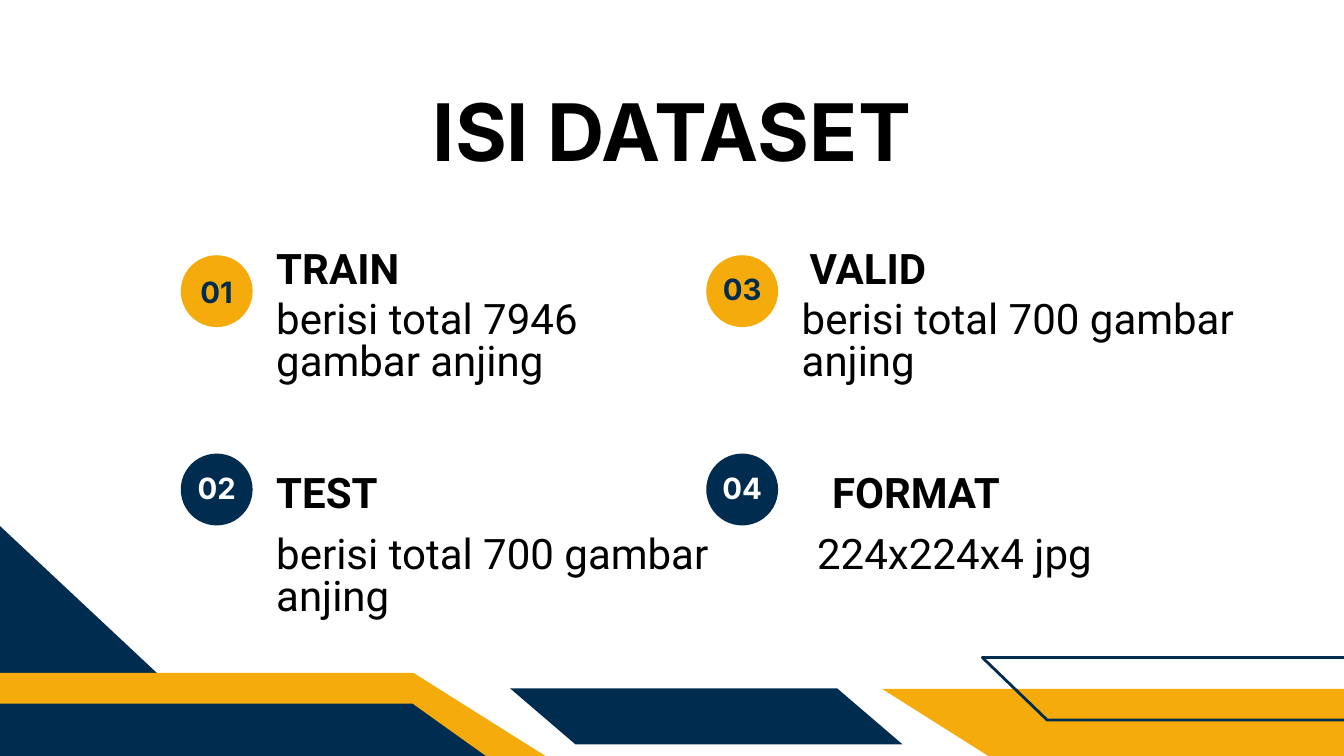
"""Build the "ISI DATASET" slide with four numbered entries."""
from pptx import Presentation
from pptx.dml.color import RGBColor
from pptx.enum.shapes import MSO_SHAPE
from pptx.enum.text import PP_ALIGN
from pptx.util import Pt

NAVY = RGBColor(0x00, 0x2C, 0x4F)
AMBER = RGBColor(0xF5, 0xAB, 0x0B)
WHITE = RGBColor(0xFF, 0xFF, 0xFF)
BLACK = RGBColor(0x00, 0x00, 0x00)

prs = Presentation()
prs.slide_width, prs.slide_height = Pt(1440), Pt(810)
s = prs.slides.add_slide(prs.slide_layouts[6])


def add_polygon(points, fill, line=None):
    pts = [(Pt(x), Pt(y)) for x, y in points]
    fb = s.shapes.build_freeform(*pts[0])
    fb.add_line_segments(pts[1:])
    sp = fb.convert_to_shape()
    sp.shadow.inherit = False
    if fill:
        sp.fill.solid()
        sp.fill.fore_color.rgb = fill
    else:
        sp.fill.background()
    if line:
        sp.line.color.rgb = line
        sp.line.width = Pt(3)
    else:
        sp.line.fill.background()


def add_text(text, x, y, w, h, size, font, color=BLACK, bold=True, align=PP_ALIGN.LEFT):
    tf = s.shapes.add_textbox(Pt(x), Pt(y), Pt(w), Pt(h)).text_frame
    tf.word_wrap = True
    tf.margin_left = tf.margin_top = tf.margin_right = tf.margin_bottom = 0
    p = tf.paragraphs[0]
    p.alignment = align
    p.line_spacing = Pt(size)
    r = p.add_run()
    r.text = text
    r.font.size = Pt(size)
    r.font.name = font
    r.font.bold = bold
    r.font.color.rgb = color


add_polygon([(-46, 520.5), (238.5, 787), (72, 964), (-212.5, 697.5)], NAVY)

bands = [
    (-523, 721, 966, 148.5, 93.5, AMBER, None),
    (945, 738, 607.5, 190, 120, AMBER, None),
    (546.5, 737.5, 350.5, 70, 60, NAVY, None),
    (-523.5, 754, 965.5, 148.5, 106, NAVY, None),
    (1052.5, 704.5, 1003, 69.5, 67, None, NAVY),
]
for x, y, w, slant, h, fill, line in bands:
    add_polygon([(x + w, y), (x, y), (x + slant, y + h), (x + w + slant, y + h)], fill, line)

add_text("ISI DATASET", 235.5, 105, 969, 90, 85, "Inter", align=PP_ALIGN.CENTER)

D = 77
COLS = (193.7, 756.7)
ROWS = ((273.5, AMBER, NAVY, 268.5, 322.5), (486, NAVY, WHITE, 508.5, 574))
entries = [
    ("01", 0, 0, 300, "TRAIN", 296, "berisi total 7946 gambar anjing", 296, 405),
    ("02", 0, 1, 510, "TEST", 296, "berisi total 700 gambar anjing", 296, 468),
    ("03", 1, 0, 296.5, "VALID", 867.5, "berisi total 700 gambar anjing", 859, 468),
    ("04", 1, 1, 510, "FORMAT", 891.5, "224x224x4 jpg", 875.5, 468),
]
for num, col, row, num_y, head, head_x, body, body_x, body_w in entries:
    x = COLS[col]
    y, fill, color, head_y, body_y = ROWS[row]
    sp = s.shapes.add_shape(MSO_SHAPE.OVAL, Pt(x), Pt(y), Pt(D), Pt(D))
    sp.shadow.inherit = False
    sp.fill.solid()
    sp.fill.fore_color.rgb = fill
    sp.line.fill.background()
    add_text(num, x, num_y, D, 33, 31.4, "Inter", color, align=PP_ALIGN.CENTER)
    add_text(head, head_x, head_y, 371, 48, 45, "Roboto")
    add_text(body, body_x, body_y, body_w, 93, 45, "Roboto", bold=False)

prs.save("out.pptx")
